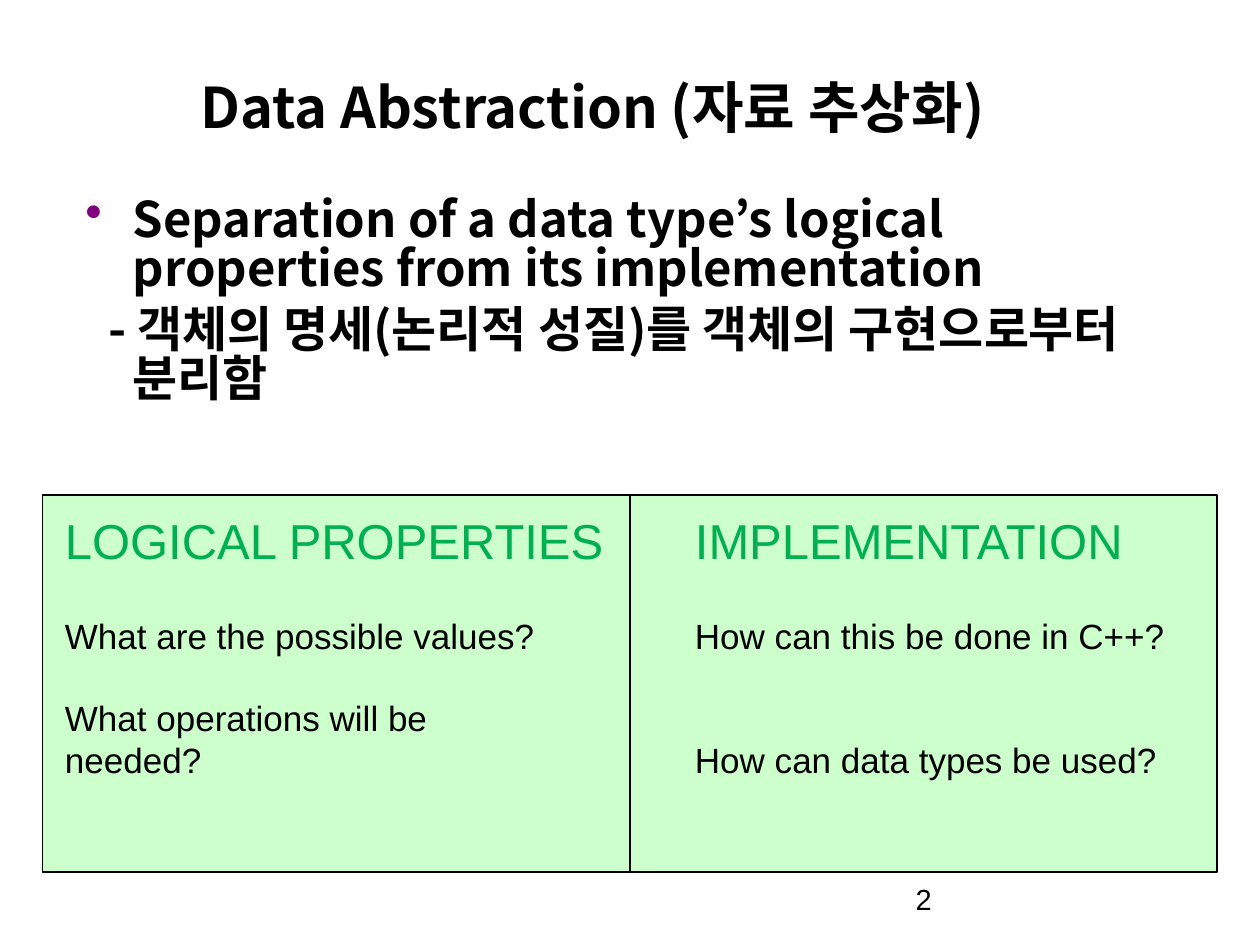
from lxml import etree
from pptx import Presentation
from pptx.dml.color import RGBColor
from pptx.enum.shapes import MSO_CONNECTOR, MSO_SHAPE
from pptx.enum.text import MSO_ANCHOR, PP_ALIGN
from pptx.oxml.ns import qn
from pptx.util import Cm, Pt

RECT, STRAIGHT = MSO_SHAPE.RECTANGLE, MSO_CONNECTOR.STRAIGHT
MIDDLE, TOP = MSO_ANCHOR.MIDDLE, MSO_ANCHOR.TOP
CENTER, LEFT = PP_ALIGN.CENTER, PP_ALIGN.LEFT
COLORS = {"text": "000000", "bullet": "800080", "panel": "CCFFCC", "heading": "00B050"}
KOREAN, LATIN = "Noto Sans CJK KR", "Arial"
TITLE = "Data Abstraction (자료 추상화)"
DEFINITION = "Separation of a data type’s logical properties from its implementation"
DEFINITION_KR = "- 객체의 명세(논리적 성질)를 객체의 구현으로부터 분리함"
HEADINGS = "LOGICAL PROPERTIES\tIMPLEMENTATION"
QUESTIONS = [
    ("What are the possible values?\tHow can this be done in C++?", 0),
    ("What operations will be", 23),
    ("needed?\tHow can data types be used?", 0),
]


def rgb(name):
    return RGBColor.from_string(COLORS[name])


def add_run(p, text, size, font, color="text", bold=False):
    r = p.add_run()
    r.text = text
    r.font.size = Pt(size)
    r.font.name = font
    r.font.bold = bold
    r.font.color.rgb = rgb(color)
    if font == KOREAN:
        etree.SubElement(r.font._element, qn("a:ea"), typeface=font)


def set_indent(p, left, first):
    pPr = p._p.get_or_add_pPr()
    pPr.set("marL", str(Cm(left)))
    pPr.set("indent", str(Cm(first)))
    return pPr


def set_tab(p, pos):
    tabs = etree.SubElement(p._p.get_or_add_pPr(), qn("a:tabLst"))
    etree.SubElement(tabs, qn("a:tab"), pos=str(Cm(pos)), algn="l")


def add_text_frame(s, x, y, w, h, anchor=TOP):
    tf = s.shapes.add_textbox(Cm(x), Cm(y), Cm(w), Cm(h)).text_frame
    tf.word_wrap = True
    tf.vertical_anchor = anchor
    return tf


def fill_title(s, x, y, w, h):
    sp = s.shapes.title
    sp.left, sp.top, sp.width, sp.height = Cm(x), Cm(y), Cm(w), Cm(h)
    tf = sp.text_frame
    tf.vertical_anchor = MIDDLE
    tf.margin_right = Cm(1.78)
    p = tf.paragraphs[0]
    p.alignment = CENTER
    add_run(p, TITLE, 32, KOREAN, bold=True)


def add_definition(s, x, y, w, h):
    tf = add_text_frame(s, x, y, w, h)
    tf.margin_top = Cm(0.2)
    p = tf.paragraphs[0]
    p.line_spacing = 0.83
    pPr = set_indent(p, 0.96, -0.96)
    color = etree.SubElement(pPr, qn("a:buClr"))
    etree.SubElement(color, qn("a:srgbClr"), val=COLORS["bullet"])
    etree.SubElement(pPr, qn("a:buChar"), char="•")
    add_run(p, DEFINITION, 28, KOREAN, bold=True)

    p = tf.add_paragraph()
    p.line_spacing = 0.83
    p.space_before = Pt(7)
    set_indent(p, 0.96, -0.5)
    add_run(p, DEFINITION_KR, 28, KOREAN, bold=True)


def add_comparison(s, x, y, w, h):
    """Panel split in two halves, with tabbed headings and questions."""
    panel = s.shapes.add_shape(RECT, Cm(x), Cm(y), Cm(w), Cm(h))
    panel.shadow.inherit = False
    panel.fill.solid()
    panel.fill.fore_color.rgb = rgb("panel")

    mid = Cm(x + w / 2)
    divider = s.shapes.add_connector(STRAIGHT, mid, Cm(y), mid, Cm(y + h))
    etree.SubElement(divider._element.spPr, qn("a:effectLst"))
    for sp in (panel, divider):
        sp.line.color.rgb = rgb("text")
        sp.line.width = Pt(1)

    tab = 12.7
    p = add_text_frame(s, x + 0.2, y + 0.18, w - 0.2, 1.45).paragraphs[0]
    set_tab(p, tab)
    add_run(p, HEADINGS, 28, LATIN, "heading")

    tf = add_text_frame(s, x + 0.2, y + 2.28, w - 0.2, 3.66)
    for i, (text, before) in enumerate(QUESTIONS):
        p = tf.add_paragraph() if i else tf.paragraphs[0]
        if before:
            p.space_before = Pt(before)
        set_tab(p, tab)
        add_run(p, text, 20, LATIN)


def add_page_number(s, x, y, w, h):
    p = add_text_frame(s, x, y, w, h, MIDDLE).paragraphs[0]
    p.alignment = LEFT
    p.line_spacing = 0.9
    add_run(p, "2", 16.6, LATIN)


def main():
    prs = Presentation()
    prs.slide_width, prs.slide_height = Cm(25.4), Cm(19.05)
    s = prs.slides.add_slide(prs.slide_layouts[5])
    fill_title(s, 2.64, 1.27, 20.12, 1.75)
    add_definition(s, 1.47, 3.81, 22.23, 5.28)
    add_comparison(s, 0.86, 9.98, 23.67, 7.6)
    add_page_number(s, 18.21, 17.65, 5.92, 1.02)
    prs.save("out.pptx")


if __name__ == "__main__":
    main()
